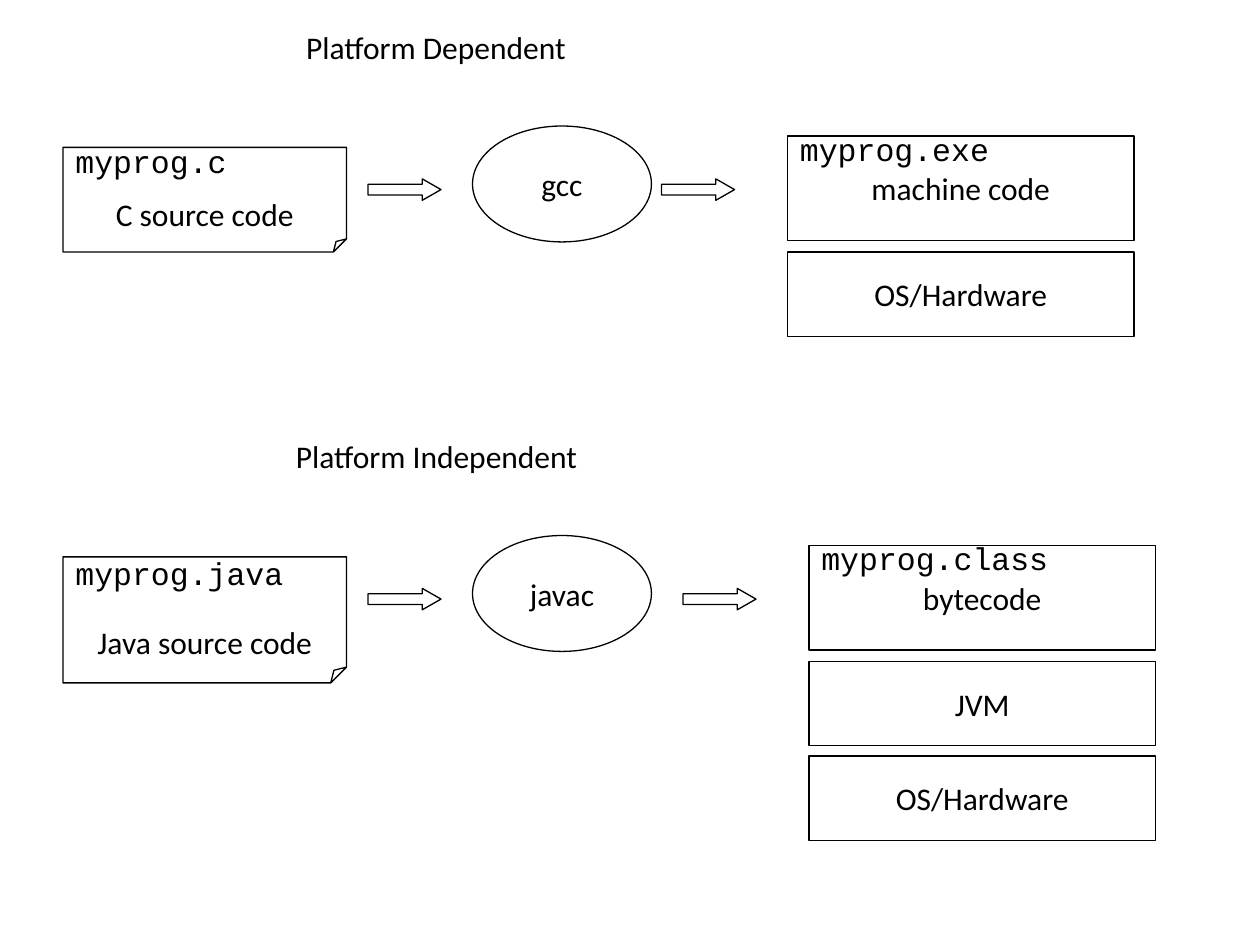
from dataclasses import dataclass
from lxml.etree import SubElement
from pptx import Presentation
from pptx.dml.color import RGBColor
from pptx.enum.shapes import MSO_SHAPE
from pptx.enum.text import MSO_ANCHOR, MSO_AUTO_SIZE, PP_ALIGN
from pptx.oxml.ns import qn
from pptx.util import Inches, Pt


@dataclass(frozen=True)
class Theme:
    ink: RGBColor = RGBColor(0, 0, 0)
    size: Pt = Pt(18)
    line: Pt = Pt(0.75)
    body: str = "Calibri"
    code: str = "Courier New"


@dataclass(frozen=True)
class Flow:
    heading: str
    heading_left: float
    top: float
    source_file: str
    source: str
    source_height: float
    label_offset: float
    compiler: str
    output_left: float
    output_file: str
    output: str
    layers: tuple


THEME = Theme()
FLOWS = (
    Flow("Platform Dependent", 2.33, 1, "myprog.c", "C source code", 0.83, 0.08,
         "gcc", 6.25, "myprog.exe", "machine code", ("OS/Hardware",)),
    Flow("Platform Independent", 2.25, 4.25, "myprog.java", "Java source code", 1, 0.1,
         "javac", 6.42, "myprog.class", "bytecode", ("JVM", "OS/Hardware")),
)


def write(shape, text, font, align, anchor, wrap=True):
    frame = shape.text_frame
    frame.word_wrap = wrap
    frame.auto_size = MSO_AUTO_SIZE.NONE
    frame.vertical_anchor = anchor
    para = frame.paragraphs[0]
    para.alignment = align
    para.space_before = Pt(0)
    span = para.add_run()
    span.text = text
    span.font.name = font
    span.font.size = THEME.size
    span.font.color.rgb = THEME.ink


def add_label(page, left, top, width, height, text, font):
    box = page.shapes.add_textbox(Inches(left), Inches(top), Inches(width), Inches(height))
    write(box, text, font, PP_ALIGN.LEFT, MSO_ANCHOR.TOP)


def add_outline(page, kind, left, top, width, height):
    shape = page.shapes.add_shape(kind, Inches(left), Inches(top), Inches(width), Inches(height))
    shape.shadow.inherit = False
    shape.fill.background()
    shape.line.color.rgb = THEME.ink
    shape.line.width = THEME.line
    return shape


def add_block(page, kind, left, top, width, height, text):
    shape = add_outline(page, kind, left, top, width, height)
    write(shape, text, THEME.body, PP_ALIGN.CENTER, MSO_ANCHOR.MIDDLE, False)


def add_arrow(page, left, top):
    arrow = add_outline(page, MSO_SHAPE.RIGHT_ARROW, left, top, 0.58, 0.17)
    arrow.adjustments[1] = 0.875


def set_fold(sheet, ratio):
    guides = next(sheet.element.iter(qn("a:avLst")))
    SubElement(guides, qn("a:gd"), name="adj", fmla=f"val {round(ratio * 100000)}")


def add_source(page, flow, left, top):
    sheet = add_outline(page, MSO_SHAPE.FOLDED_CORNER, left, top + 0.17, 2.25, flow.source_height)
    set_fold(sheet, 0.125)
    write(sheet, flow.source, THEME.body, PP_ALIGN.CENTER, MSO_ANCHOR.BOTTOM)
    add_label(page, left, top + flow.label_offset, 2.17, 0.4, flow.source_file, THEME.code)


def add_output(page, flow, left, top):
    add_block(page, MSO_SHAPE.RECTANGLE, left, top + 0.08, 2.75, 0.83, flow.output)
    add_label(page, left, top - 0.02, 2.25, 0.4, flow.output_file, THEME.code)
    for index, layer in enumerate(flow.layers):
        add_block(page, MSO_SHAPE.RECTANGLE, left, top + 1 + 0.75 * index, 2.75, 0.67, layer)


def add_flow(page, flow):
    add_source(page, flow, 0.5, flow.top)
    add_arrow(page, 2.92, flow.top + 0.42)
    add_block(page, MSO_SHAPE.OVAL, 3.75, flow.top, 1.42, 0.92, flow.compiler)
    add_arrow(page, flow.output_left - 1, flow.top + 0.42)
    add_output(page, flow, flow.output_left, flow.top)


def add_title(page, flow):
    title = page.shapes.title
    title.left, title.top = Inches(flow.heading_left), Inches(flow.top - 0.83)
    title.width, title.height = Inches(4.08), Inches(0.5)
    write(title, flow.heading, THEME.body, PP_ALIGN.LEFT, MSO_ANCHOR.TOP)


def build_slide(deck):
    page = deck.slides.add_slide(deck.slide_layouts[5])
    first, second = FLOWS
    add_title(page, first)
    add_label(page, second.heading_left, second.top - 0.83, 4.08, 0.5, second.heading, THEME.body)
    for flow in FLOWS:
        add_flow(page, flow)


deck = Presentation()
deck.slide_width, deck.slide_height = Inches(10), Inches(7.5)
build_slide(deck)
deck.save("out.pptx")
